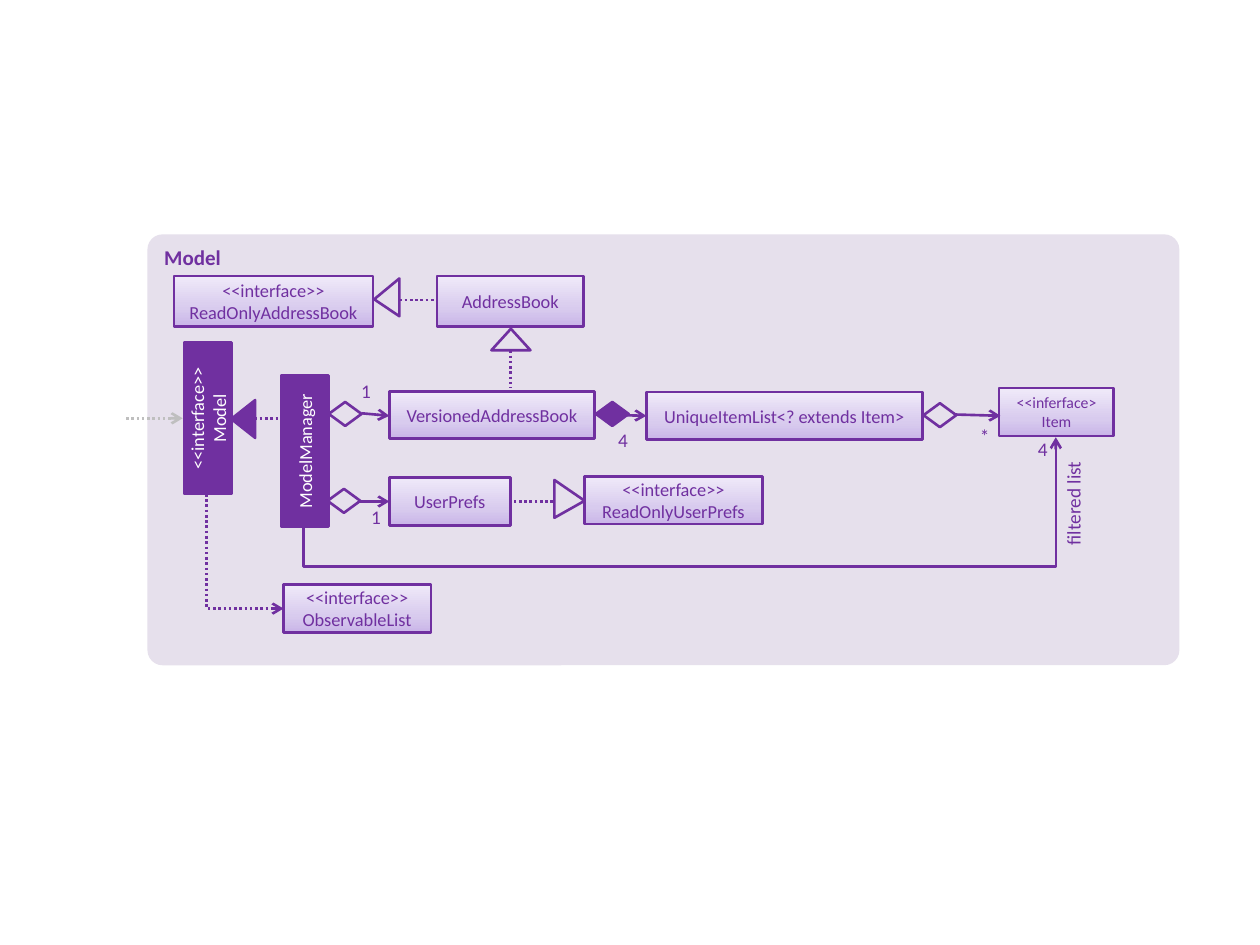
from copy import deepcopy
from dataclasses import dataclass
from lxml.etree import SubElement
from pptx import Presentation
from pptx.dml.color import RGBColor as Rgb
from pptx.enum.dml import MSO_LINE as Dash
from pptx.enum.shapes import MSO_CONNECTOR as Link, MSO_SHAPE as Form
from pptx.enum.text import MSO_ANCHOR as Anchor, PP_ALIGN as Align
from pptx.oxml.ns import qn
from pptx.util import Inches, Pt

HUES = {"main": "7030A0", "panel": "E6E0EC", "white": "FFFFFF", "gray": "BFBFBF",
        "deep": "C9B5E8", "mid": "D8CBEE", "pale": "F0EAF9"}
FADE = ((0, "deep"), (0.35, "mid"), (1, "pale"))
FONT = "Calibri"


@dataclass
class Box:
    text: str
    x: float
    y: float
    w: float
    h: float = 0.38
    size: float = 10.5
    solid: bool = False


@dataclass
class Mark:
    form: Form
    x: float
    y: float
    w: float
    h: float
    turn: int = 0
    fill: str = ""
    peak: float = 0.5


@dataclass
class Note:
    text: str
    x: float
    y: float


@dataclass
class Wire:
    x1: float
    y1: float
    x2: float
    y2: float
    dots: bool = False
    arrow: bool = False
    hue: str = "main"


@dataclass
class Bend:
    wire: Wire
    form: str
    turn: int
    flips: tuple = ()
    adj: int = 0


BOXES = [
    Box("UserPrefs", 3.09, 3.79, 0.96),
    Box("ModelManager", 1.82, 3.39, 1.2, solid=True),
    Box("<<interface>>\nModel", 1.05, 3.13, 1.2, solid=True),
    Box("VersionedAddressBook", 3.09, 3.11, 1.63, 0.37),
    Box("UniqueItemList<? extends Item>", 5.13, 3.11, 2.19),
    Box("<<inferface>\nItem", 7.93, 3.08, 0.91, size=9),
    Box("<<interface>>\vReadOnlyAddressBook", 1.38, 2.19, 1.58, 0.4),
    Box("<<interface>>\vObservableList", 2.25, 4.64, 1.17),
    Box("AddressBook", 3.47, 2.19, 1.16, 0.4),
    Box("<<interface>>\nReadOnlyUserPrefs", 4.64, 3.78, 1.41),
]
GEM, TIP = Form.FLOWCHART_DECISION, Form.ISOSCELES_TRIANGLE
MARKS = [
    Mark(TIP, 1.78, 3.23, 0.3, 0.19, 270, "main"),
    Mark(TIP, 3.9, 2.61, 0.31, 0.17, 0, "panel"),
    Mark(TIP, 2.92, 2.26, 0.3, 0.2, 270, "panel", 0.45),
    Mark(TIP, 4.37, 3.84, 0.3, 0.24, 90, "panel", 0.55),
    Mark(GEM, 2.6, 3.88, 0.26, 0.19),
    Mark(GEM, 2.61, 3.19, 0.26, 0.19),
    Mark(GEM, 4.73, 3.19, 0.26, 0.19, 0, "main"),
    Mark(GEM, 7.33, 3.2, 0.26, 0.19),
]
WIRES = [
    Wire(2.85, 3.98, 3.09, 3.98, arrow=True),
    Wire(2.87, 3.28, 3.09, 3.3, arrow=True),
    Wire(4.73, 3.29, 5.13, 3.3, arrow=True),
    Wire(7.58, 3.29, 7.94, 3.3, arrow=True),
    Wire(1, 3.32, 1.45, 3.32, True, True, "gray"),
    Wire(2.02, 3.32, 2.26, 3.32, True),
    Wire(4.05, 2.78, 4.05, 3.08, True),
    Wire(3.17, 2.38, 3.47, 2.38, True),
    Wire(4.39, 3.98, 4.05, 3.98, True),
]
BENDS = [
    Bend(Wire(5.04, 0.84, 5.75, 6.81, arrow=True), "bentConnector3", 90,
         ("flipH", "flipV"), -44900),
    Bend(Wire(1.49, 4.07, 2.4, 4.68, True, True), "bentConnector2", 270, ("flipH",)),
]
NOTES = [Note("4", 4.84, 3.4), Note("*", 7.71, 3.37), Note("1", 2.8, 3.01),
         Note("1", 2.88, 4.01), Note("4", 8.17, 3.47)]


def tint(name: str) -> Rgb:
    return Rgb.from_string(HUES[name])


def paint(shape, name: str) -> None:
    shape.fill.solid()
    shape.fill.fore_color.rgb = tint(name)


def blend(shape) -> None:
    fill = shape.fill
    fill.gradient()
    fill.gradient_angle = 90
    stops = shape._element.spPr.find(".//" + qn("a:gsLst"))
    stops.append(deepcopy(stops[0]))
    for stop, (place, name) in zip(fill.gradient_stops, FADE):
        stop.position = place
        stop.color.rgb = tint(name)


def edge(item, name: str = "main") -> None:
    item.line.color.rgb = tint(name)
    item.line.width = Pt(1.5)


def write(shape, text: str, size: float, hue: str = "main",
          align: Align = Align.CENTER, bold: bool = False) -> None:
    shape.text_frame.text = text
    for para in shape.text_frame.paragraphs:
        para.alignment = align
        for run in para.runs:
            run.font.name, run.font.size, run.font.bold = FONT, Pt(size), bold
            run.font.color.rgb = tint(hue)


def form(slide, kind: Form, x: float, y: float, w: float, h: float):
    shape = slide.shapes.add_shape(kind, Inches(x), Inches(y), Inches(w), Inches(h))
    shape.shadow.inherit = False
    return shape


def panel(slide) -> None:
    shape = form(slide, Form.ROUNDED_RECTANGLE, 1.17, 1.86, 8.19, 3.42)
    shape.adjustments[0] = 0.035
    paint(shape, "panel")
    shape.line.fill.background()
    write(shape, "Model", 12, align=Align.LEFT, bold=True)
    shape.text_frame.vertical_anchor = Anchor.TOP


def block(slide, box: Box) -> None:
    shape = form(slide, Form.RECTANGLE, box.x, box.y, box.w, box.h)
    edge(shape)
    if box.solid:
        shape.rotation = 270
        paint(shape, "main")
    else:
        blend(shape)
    write(shape, box.text, box.size, "white" if box.solid else "main")


def symbol(slide, mark: Mark) -> None:
    shape = form(slide, mark.form, mark.x, mark.y, mark.w, mark.h)
    shape.rotation = mark.turn
    edge(shape)
    if mark.form == TIP:
        shape.adjustments[0] = mark.peak
    if mark.fill:
        paint(shape, mark.fill)
    else:
        shape.fill.background()


def link(slide, wire: Wire, kind: Link = Link.STRAIGHT):
    ends = map(Inches, (wire.x1, wire.y1, wire.x2, wire.y2))
    line = slide.shapes.add_connector(kind, *ends)
    edge(line, wire.hue)
    if wire.dots:
        line.line.dash_style = Dash.ROUND_DOT
    if wire.arrow:
        SubElement(line.line._get_or_add_ln(), qn("a:tailEnd"), type="arrow")
    SubElement(line._element.spPr, qn("a:effectLst"))
    return line


def elbow(slide, bend: Bend) -> None:
    props = link(slide, bend.wire, Link.ELBOW)._element.spPr
    frame, shape = props.find(qn("a:xfrm")), props.find(qn("a:prstGeom"))
    frame.set("rot", str(bend.turn * 60000))
    for flip in bend.flips:
        frame.set(flip, "1")
    shape.set("prst", bend.form)
    if bend.adj:
        SubElement(shape.find(qn("a:avLst")), qn("a:gd"),
                   name="adj1", fmla=f"val {bend.adj}")


def label(slide, note: Note) -> None:
    shape = slide.shapes.add_textbox(Inches(note.x), Inches(note.y),
                                     Inches(0.21), Inches(0.2))
    frame = shape.text_frame
    frame.word_wrap = True
    frame.margin_left = frame.margin_right = frame.margin_top = frame.margin_bottom = 0
    write(shape, note.text, 11)


def main() -> None:
    deck = Presentation()
    deck.slide_width, deck.slide_height = Inches(10), Inches(7.5)
    slide = deck.slides.add_slide(deck.slide_layouts[6])
    panel(slide)
    for draw, items in ((block, BOXES), (symbol, MARKS), (link, WIRES),
                        (elbow, BENDS), (label, NOTES)):
        for item in items:
            draw(slide, item)
    side = slide.shapes.add_textbox(Inches(8.04), Inches(3.9), Inches(0.96), Inches(0.29))
    side.rotation = 270
    side.text_frame.word_wrap = True
    write(side, "filtered list", 11, align=Align.RIGHT)
    deck.save("out.pptx")


if __name__ == "__main__":
    main()
